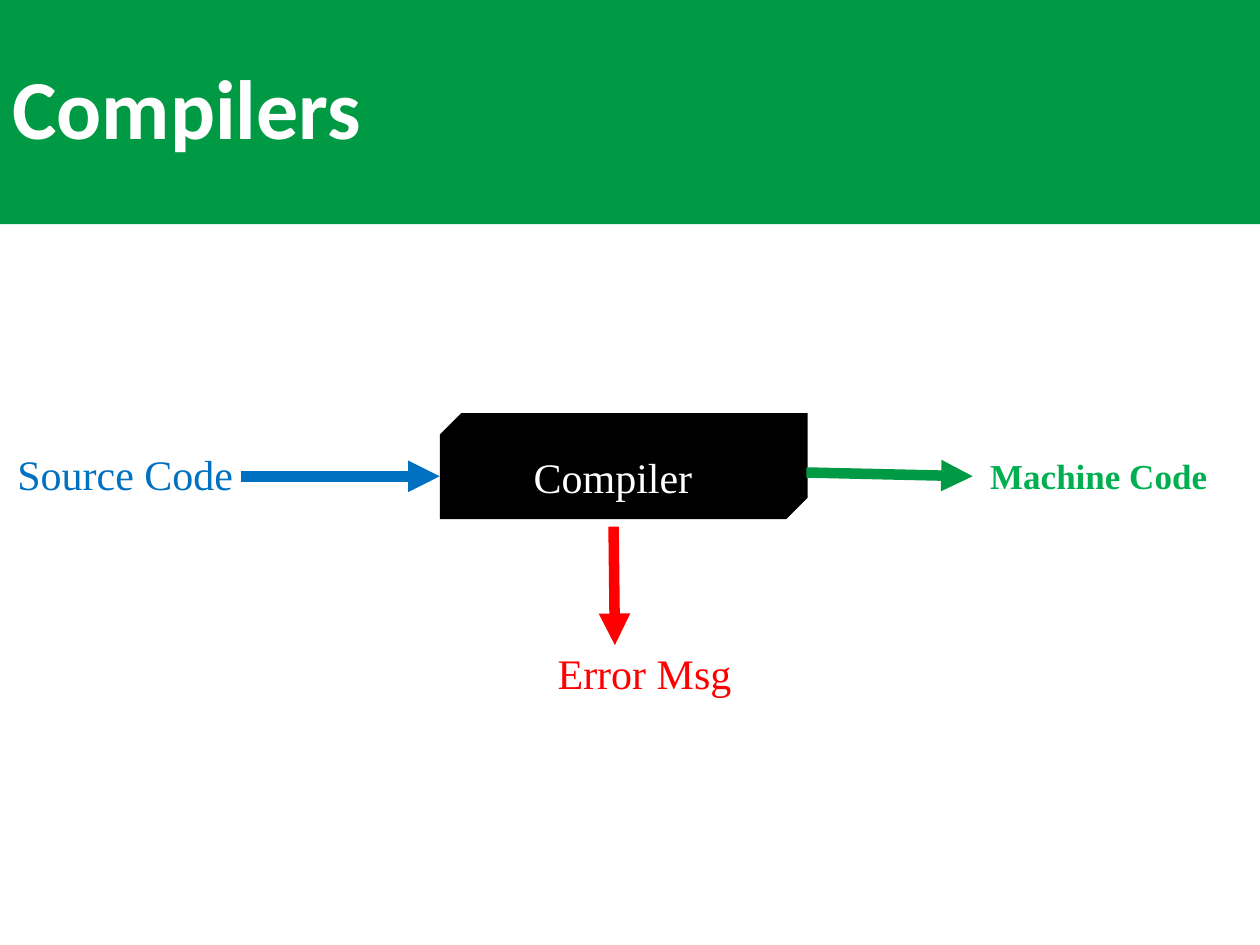
from dataclasses import dataclass

from lxml.etree import SubElement
from pptx import Presentation
from pptx.dml.color import RGBColor
from pptx.enum.shapes import MSO_CONNECTOR, MSO_SHAPE
from pptx.enum.text import MSO_ANCHOR, PP_ALIGN
from pptx.oxml.ns import qn
from pptx.util import Inches, Pt


@dataclass(frozen=True)
class Theme:
    white: str = "FFFFFF"
    black: str = "000000"
    banner: str = "009A44"
    source: str = "0070C0"
    machine: str = "00B050"
    error: str = "FF0000"
    title_font: str = "Calibri"
    body_font: str = "Times New Roman"
    title_size: int = 48
    body_size: int = 24
    small_size: int = 20
    arrow_width: int = 6


@dataclass(frozen=True)
class Box:
    left: float
    top: float
    width: float
    height: float

    def lengths(self) -> list:
        return [Inches(n) for n in (self.left, self.top, self.width, self.height)]


@dataclass(frozen=True)
class Label:
    text: str
    box: Box
    color: str
    size: int
    bold: bool = False
    align: PP_ALIGN = PP_ALIGN.LEFT


@dataclass(frozen=True)
class Arrow:
    start: tuple[float, float]
    end: tuple[float, float]
    color: str


THEME = Theme()
SLIDE_WIDTH, SLIDE_HEIGHT = 10, 7.5
BANNER = Box(0, 0, SLIDE_WIDTH, 1.78)
COMPILER = Box(3.49, 3.28, 2.92, 0.84)
CORNER = 0.17

LABELS = (
    Label("Source Code", Box(0.04, 3.51, 2.3, 0.5), THEME.source, THEME.body_size),
    Label("Machine Code", Box(7.76, 3.56, 1.95, 0.44), THEME.machine,
          THEME.small_size, bold=True),
    Label("Error Msg", Box(3.99, 5.09, 2.25, 0.5), THEME.error, THEME.body_size,
          align=PP_ALIGN.CENTER),
)
ARROWS = (
    Arrow((1.91, 3.78), (COMPILER.left, 3.78), THEME.source),
    Arrow((6.4, 3.75), (7.72, 3.78), THEME.banner),
    Arrow((4.87, 4.18), (4.88, 5.12), THEME.error),
)


def write_text(shape, text: str, *, color: str, size: int = THEME.body_size,
               font: str = THEME.body_font, bold: bool = False,
               align: PP_ALIGN = PP_ALIGN.LEFT, anchor: MSO_ANCHOR = MSO_ANCHOR.TOP,
               wrap: bool = True, line_spacing: float = 1.0) -> None:
    frame = shape.text_frame
    frame.word_wrap = wrap
    frame.vertical_anchor = anchor
    paragraph = frame.paragraphs[0]
    paragraph.alignment = align
    paragraph.line_spacing = line_spacing
    run = paragraph.add_run()
    run.text = text
    run.font.name = font
    run.font.size = Pt(size)
    run.font.bold = bold
    run.font.color.rgb = RGBColor.from_string(color)


def add_block(slide, kind: MSO_SHAPE, box: Box, color: str):
    shape = slide.shapes.add_shape(kind, *box.lengths())
    shape.shadow.inherit = False
    shape.fill.solid()
    shape.fill.fore_color.rgb = RGBColor.from_string(color)
    shape.line.fill.background()
    return shape


def add_label(slide, label: Label) -> None:
    shape = slide.shapes.add_textbox(*label.box.lengths())
    write_text(shape, label.text, color=label.color, size=label.size,
               bold=label.bold, align=label.align)


def add_arrow(slide, arrow: Arrow) -> None:
    points = [Inches(n) for n in (*arrow.start, *arrow.end)]
    connector = slide.shapes.add_connector(MSO_CONNECTOR.STRAIGHT, *points)
    connector.line.width = Pt(THEME.arrow_width)
    connector.line.color.rgb = RGBColor.from_string(arrow.color)
    SubElement(connector.line._get_or_add_ln(), qn("a:tailEnd"), type="triangle")
    SubElement(connector._element.spPr, qn("a:effectLst"))


def add_compiler(slide) -> None:
    shape = add_block(slide, MSO_SHAPE.SNIP_2_DIAG_RECTANGLE, COMPILER, THEME.black)
    shape.adjustments[0] = CORNER / COMPILER.height
    shape.adjustments[1] = 0
    frame = shape.text_frame
    frame.margin_left = frame.margin_bottom = 0
    frame.margin_right = frame.margin_top = Inches(CORNER)
    write_text(shape, "Compiler", color=THEME.white, align=PP_ALIGN.CENTER,
               anchor=MSO_ANCHOR.MIDDLE, wrap=False)


def main() -> None:
    presentation = Presentation()
    presentation.slide_width = Inches(SLIDE_WIDTH)
    presentation.slide_height = Inches(SLIDE_HEIGHT)
    slide = presentation.slides.add_slide(presentation.slide_layouts[6])
    banner = add_block(slide, MSO_SHAPE.RECTANGLE, BANNER, THEME.banner)
    write_text(banner, "Compilers", color=THEME.white, size=THEME.title_size,
               font=THEME.title_font, bold=True, anchor=MSO_ANCHOR.MIDDLE,
               line_spacing=0.9)
    add_compiler(slide)
    for arrow in ARROWS:
        add_arrow(slide, arrow)
    for label in LABELS:
        add_label(slide, label)
    presentation.save("out.pptx")


main()
